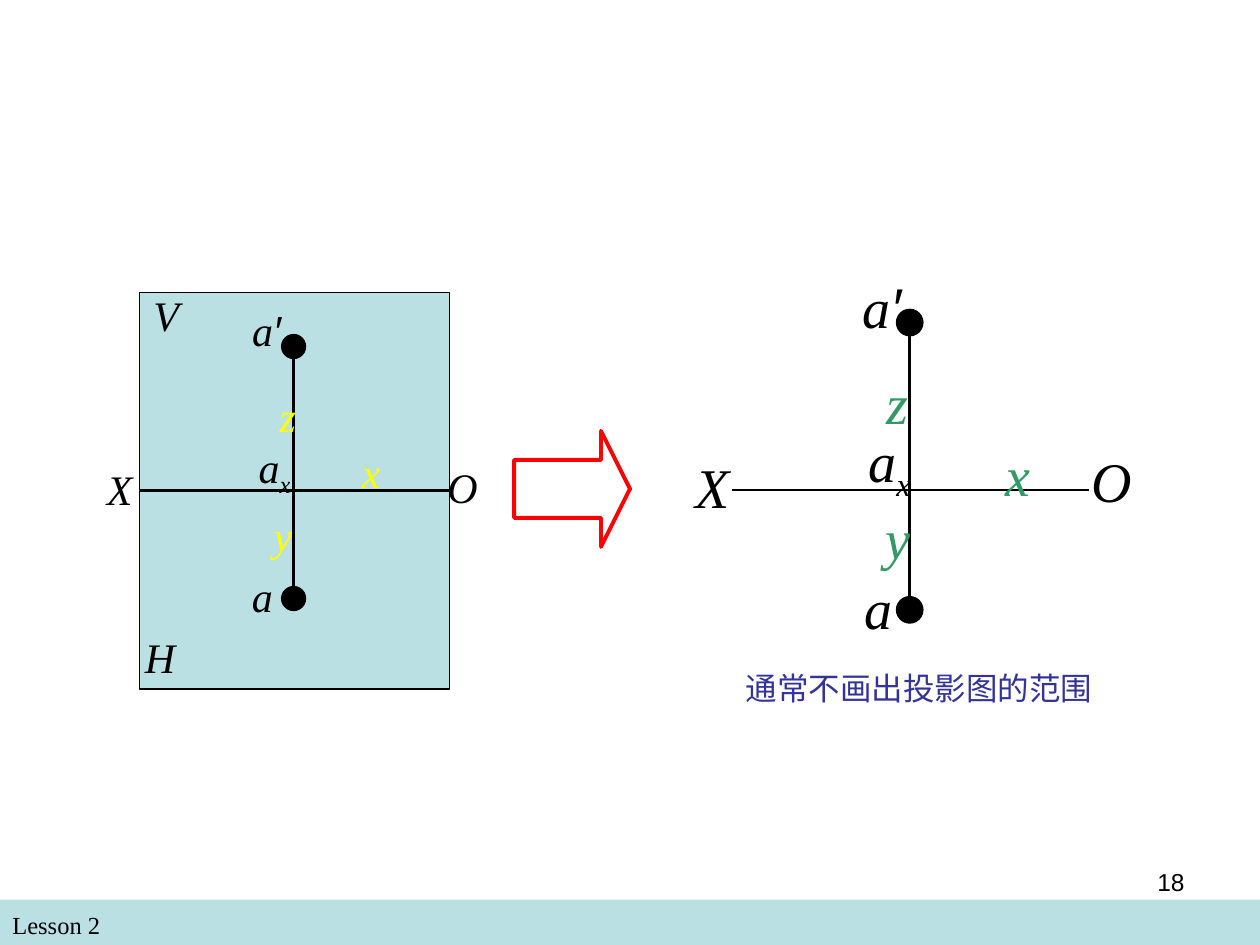
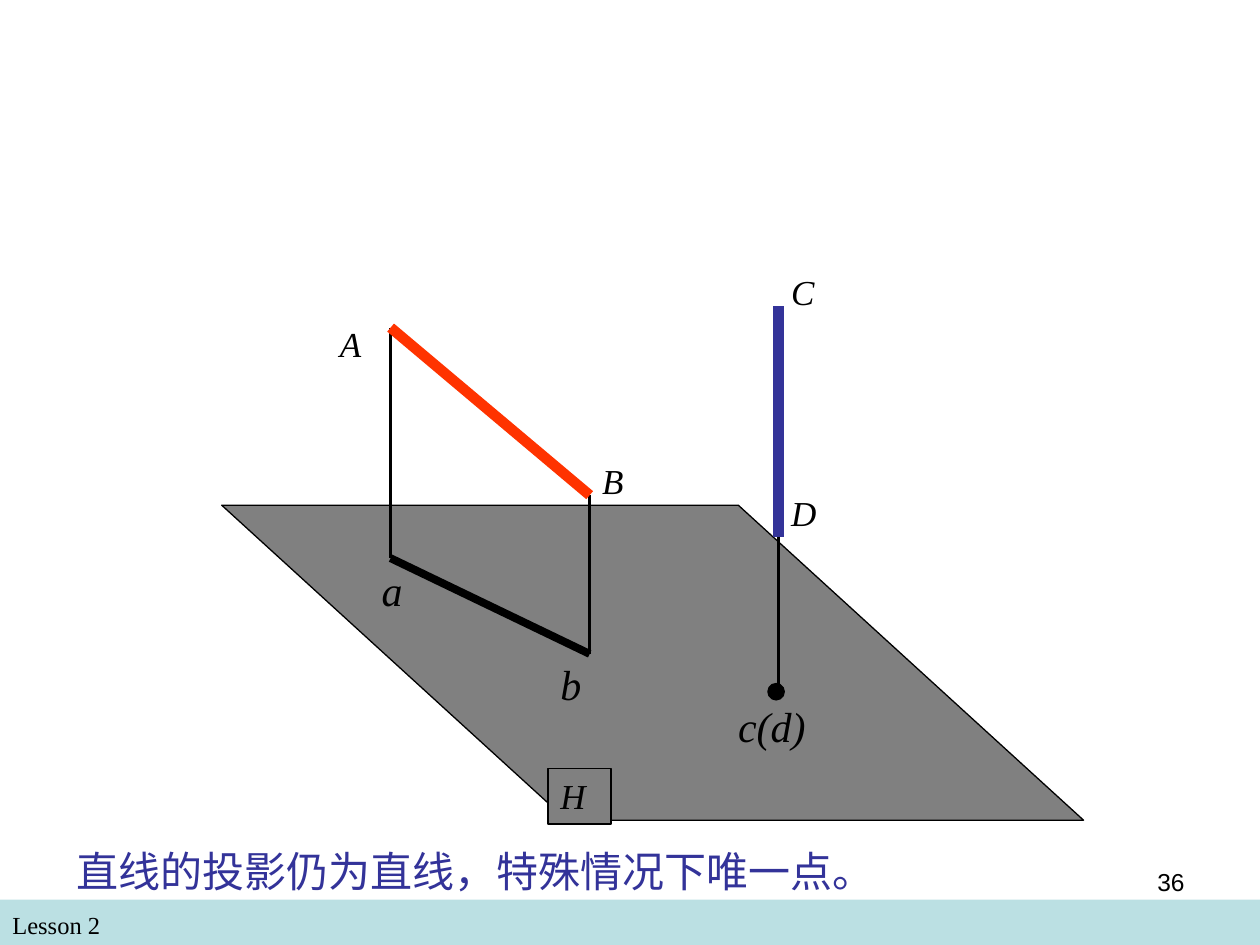
import pptx
import pptx.util
import pptx.oxml
import pptx.dml.color
import pptx.enum.shapes
import pptx.enum.text
import lxml.etree

Inches = pptx.util.Inches
Pt = pptx.util.Pt
RGBColor = pptx.dml.color.RGBColor
SHAPE = pptx.enum.shapes.MSO_SHAPE
ALIGN = pptx.enum.text.PP_ALIGN
ANCHOR = pptx.enum.text.MSO_ANCHOR

COLORS = {
    "band": "BBE0E3",
    "black": "000000",
    "note": "333399",
    "yellow": "FFFF00",
    "green": "339966",
    "arrow": "FF0000",
    "plane": "808080",
    "segment": "FF3300",
}
SERIF = "Times New Roman"
SANS = "Arial"


def add_label(slide, text, box, size, color="black", italic=True, font=SERIF,
              align=ALIGN.LEFT, anchor=ANCHOR.TOP, wrap=True):
    shape = slide.shapes.add_textbox(*map(Inches, box))
    frame = shape.text_frame
    frame.text = text
    frame.word_wrap = wrap
    frame.vertical_anchor = anchor
    paragraph = frame.paragraphs[0]
    paragraph.alignment = align
    for run in paragraph.runs:
        run.font.size = Pt(size)
        run.font.name = font
        run.font.italic = italic
        run.font.color.rgb = RGBColor.from_string(COLORS[color])
    return shape


def add_line(slide, start, end, width, color="black"):
    line = slide.shapes.add_connector(
        pptx.enum.shapes.MSO_CONNECTOR.STRAIGHT, *map(Inches, start + end))
    line.line.width = Pt(width)
    line.line.color.rgb = RGBColor.from_string(COLORS[color])
    properties = line._element.spPr
    lxml.etree.SubElement(properties, pptx.oxml.ns.qn("a:effectLst"))
    return line


presentation = pptx.Presentation()
presentation.slide_width = Inches(10)
presentation.slide_height = Inches(7.5)

# Footer band, lesson name and page number
slides = []
for number in ("18", "36"):
    slide = presentation.slides.add_slide(presentation.slide_layouts[6])
    band = slide.shapes.add_shape(
        SHAPE.RECTANGLE, 0, Inches(7.14), Inches(10), Inches(0.36))
    band.shadow.inherit = False
    band.fill.solid()
    band.fill.fore_color.rgb = RGBColor.from_string(COLORS["band"])
    band.line.fill.background()
    add_label(slide, "Lesson 2", (0, 7.17, 4.83, 0.34), 14, italic=False)
    add_label(slide, number, (7.17, 6.83, 2.33, 0.52), 14, italic=False,
              font=SANS, align=ALIGN.RIGHT)
    slides.append(slide)
point_slide, line_slide = slides

# Slide 1: the two projection planes V and H
for top in (2.32, 3.9):
    plane = point_slide.shapes.add_shape(
        SHAPE.RECTANGLE, Inches(1.11), Inches(top), Inches(2.46), Inches(1.57))
    plane.shadow.inherit = False
    plane.fill.solid()
    plane.fill.fore_color.rgb = RGBColor.from_string(COLORS["band"])
    plane.line.color.rgb = RGBColor.from_string(COLORS["black"])
    plane.line.width = Pt(0.75)

# Projections of point A, with and without the plane borders
views = [
    {"size": 24, "accent": "yellow", "center": 2.33, "ends": (2.75, 4.75), "dot": 0.19,
     "labels": [("X", (0.75, 3.63, 0.4, 0.5)), ("O", (3.45, 3.61, 0.44, 0.5)),
                ("V", (1.12, 2.25, 0.4, 0.5)), ("H", (1.05, 4.96, 0.44, 0.5)),
                ("a", (1.9, 4.48, 0.36, 0.5))],
     "distances": [("x", (2.77, 3.49, 0.35, 0.5)), ("z", (2.11, 3.05, 0.35, 0.5)),
                   ("y", (2.07, 3.99, 0.35, 0.5))],
     "marked": [("′", (1.76, 2.37, 0.71, 0.5)), ("x", (1.83, 3.45, 0.7, 0.56))]},
    {"size": 32, "accent": "green", "center": 7.22, "ends": (2.56, 4.84), "dot": 0.21,
     "labels": [("X", (5.42, 3.54, 0.47, 0.64)), ("O", (8.56, 3.49, 0.52, 0.64)),
                ("a", (6.76, 4.5, 0.42, 0.64))],
     "distances": [("x", (7.88, 3.44, 0.4, 0.64)), ("z", (6.94, 2.87, 0.37, 0.64)),
                   ("y", (6.93, 3.94, 0.4, 0.64))],
     "marked": [("′", (6.6, 2.11, 0.8, 0.64)), ("x", (6.66, 3.33, 0.8, 0.71))]},
]
dots = [(line_slide, 6.16, 5.49, 0.13)]
centered = {"align": ALIGN.CENTER, "anchor": ANCHOR.MIDDLE, "wrap": False}
add_line(point_slide, (5.81, 3.89), (8.64, 3.89), 0.75)
for view in views:
    for text, box in view["labels"]:
        add_label(point_slide, text, box, view["size"], **centered)
    for mark, box in view["marked"]:
        label = add_label(point_slide, "a", box, view["size"], **centered)
        run = label.text_frame.paragraphs[0].add_run()
        run.text = mark
        run.font.size = Pt(view["size"])
        run.font.italic = True
        run.font.color.rgb = RGBColor.from_string(COLORS["black"])
        run.font.name = SANS if mark == "′" else SERIF
        if mark == "x":
            run._r.get_or_add_rPr().set("baseline", "-25000")
    center = view["center"]
    top, bottom = view["ends"]
    add_line(point_slide, (center, top), (center, bottom), 1.5)
    for text, box in view["distances"]:
        add_label(point_slide, text, box, view["size"], view["accent"], **centered)
    dots += [(point_slide, center, y, view["dot"]) for y in (top, bottom)]

# Arrow and note
arrow = point_slide.shapes.add_shape(
    SHAPE.RIGHT_ARROW, Inches(4.08), Inches(3.42), Inches(0.92), Inches(0.92))
arrow.adjustments[0] = 0.5
arrow.adjustments[1] = 0.25
arrow.shadow.inherit = False
arrow.fill.background()
arrow.line.color.rgb = RGBColor.from_string(COLORS["arrow"])
arrow.line.width = Pt(2.25)
add_label(point_slide, "通常不画出投影图的范围", (5.82, 5.26, 2.99, 0.4), 18,
          "note", italic=False, anchor=ANCHOR.MIDDLE)

# Slide 2: plane H
outline = line_slide.shapes.build_freeform(Inches(1.76), Inches(4.01))
outline.add_line_segments(
    [(Inches(x), Inches(y)) for x, y in ((4.5, 6.51), (8.6, 6.51), (5.86, 4.01))])
plane = outline.convert_to_shape()
plane.shadow.inherit = False
plane_name = add_label(line_slide, "H", (4.35, 6.1, 0.5, 0.44), 20)
for shape in (plane, plane_name):
    shape.fill.solid()
    shape.fill.fore_color.rgb = RGBColor.from_string(COLORS["plane"])
    shape.line.color.rgb = RGBColor.from_string(COLORS["black"])
    shape.line.width = Pt(0.75)

# Segments AB and CD with their projections
A, B, C, D = (3.1, 2.6), (4.68, 3.93), (6.18, 2.43), (6.18, 4.26)
a, b, c = (3.1, 4.43), (4.68, 5.19), (6.18, 5.51)
for start, end, width, color in (
        (a, b, 4.5, "black"), (A, a, 1.5, "black"), (B, b, 1.5, "black"),
        (C, D, 6, "note"), (D, c, 1.5, "black"), (A, B, 6, "segment")):
    add_line(line_slide, start, end, width, color)

for text, left, top in (
        ("A", 2.6, 2.51), ("B", 4.68, 3.6), ("C", 6.18, 2.1), ("D", 6.18, 3.85)):
    add_label(line_slide, text, (left, top, 0.5, 0.44), 20)
for text, left, top, width in (
        ("a", 2.93, 4.43, 0.67), ("b", 4.35, 5.18, 0.67), ("c(d)", 5.76, 5.51, 1.17)):
    add_label(line_slide, text, (left, top, width, 0.5), 24)
add_label(line_slide, "直线的投影仍为直线，特殊情况下唯一点。", (0.51, 6.66, 7.84, 0.5),
          24, "note", italic=False)

# Projected points on both slides
for slide, x, y, diameter in dots:
    dot = slide.shapes.add_shape(
        SHAPE.OVAL, Inches(x - diameter / 2), Inches(y - diameter / 2),
        Inches(diameter), Inches(diameter))
    dot.shadow.inherit = False
    dot.fill.solid()
    dot.fill.fore_color.rgb = RGBColor.from_string(COLORS["black"])
    dot.line.color.rgb = RGBColor.from_string(COLORS["black"])
    dot.line.width = Pt(0.75)

presentation.save("out.pptx")
